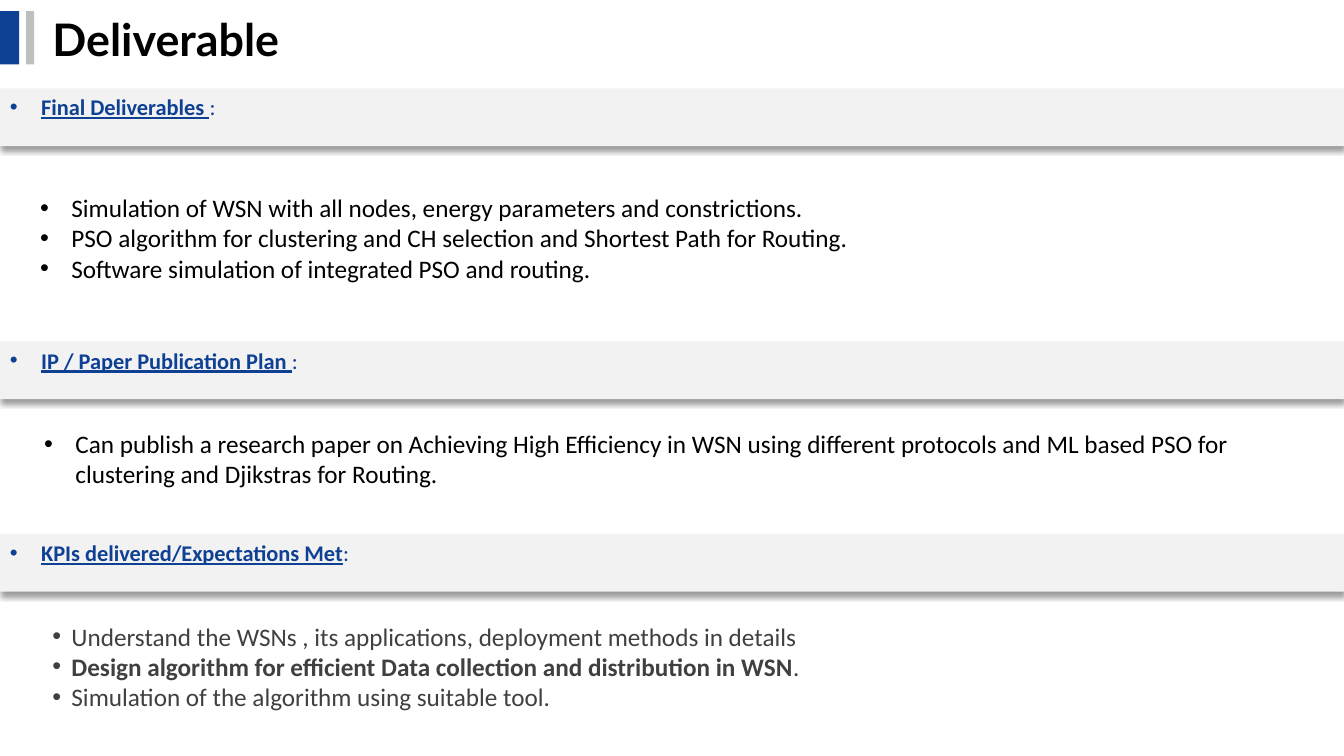
from lxml import etree
from pptx import Presentation
from pptx.dml.color import RGBColor
from pptx.enum.shapes import MSO_SHAPE
from pptx.enum.text import MSO_ANCHOR, PP_ALIGN
from pptx.oxml import parse_xml
from pptx.oxml.ns import qn
from pptx.util import Inches, Pt

RECTANGLE = MSO_SHAPE.RECTANGLE
TOP, MIDDLE = MSO_ANCHOR.TOP, MSO_ANCHOR.MIDDLE
LEFT = PP_ALIGN.LEFT
BLUE, GREY, PALE, DARK, BLACK = "0E4094", "BFBFBF", "F2F2F2", "404040", "000000"
SHADOW = (
    '<a:outerShdw xmlns:a="http://schemas.openxmlformats.org/drawingml/2006/main"'
    ' blurRad="50800" dist="38100" dir="5400000" algn="t" rotWithShape="0">'
    '<a:srgbClr val="000000"><a:alpha val="40000"/></a:srgbClr></a:outerShdw>'
)

deck = Presentation()
deck.slide_width, deck.slide_height = Inches(13.33), Inches(7.5)
page = deck.slides.add_slide(deck.slide_layouts[6])


def add_bar(left, top, width, height, color):
    bar = page.shapes.add_shape(
        RECTANGLE, Inches(left), Inches(top), Inches(width), Inches(height))
    bar.fill.solid()
    bar.fill.fore_color.rgb = RGBColor.from_string(color)
    bar.line.fill.background()
    bar.shadow.inherit = False
    return bar


def write(box, paragraphs, size=18, font="Calibri", color=BLACK, indent=0.31, anchor=TOP):
    """Each paragraph is a list of (text, bold, underline) runs."""
    frame = box.text_frame
    frame.word_wrap = True
    frame.vertical_anchor = anchor
    for index, runs in enumerate(paragraphs):
        para = frame.add_paragraph() if index else frame.paragraphs[0]
        para.alignment = LEFT
        if indent:
            properties = para._p.get_or_add_pPr()
            properties.set("marL", str(Inches(indent)))
            properties.set("indent", str(-Inches(indent)))
            bullet_font = etree.SubElement(properties, qn("a:buFont"))
            bullet_font.set("typeface", "Arial")
            etree.SubElement(properties, qn("a:buChar")).set("char", "•")
        for text, bold, underline in runs:
            span = para.add_run()
            span.text = text
            span.font.name, span.font.size = font, Pt(size)
            span.font.bold, span.font.underline = bold, underline
            span.font.color.rgb = RGBColor.from_string(color)


# Title with its two accent bars
add_bar(0, 0.11, 0.19, 0.53, BLUE)
add_bar(0.26, 0.11, 0.08, 0.53, GREY)
title = page.shapes.add_textbox(Inches(0.42), Inches(0.06), Inches(10.28), Inches(0.64))
write(title, [[("Deliverable", True, False)]], size=32, font="Lato", indent=0, anchor=MIDDLE)

# Section bands
headings = [
    (0.88, "Final Deliverables "),
    (3.39, "IP / Paper Publication Plan "),
    (5.3, "KPIs delivered/Expectations Met"),
]
for top, heading in headings:
    band = add_bar(0, top, 13.33, 0.57, PALE)
    band._element.spPr.find(qn("a:effectLst")).append(parse_xml(SHADOW))
    write(band, [[(heading, True, True), (":", False, False)]], size=16, color=BLUE)

# Bullet lists below the bands
lists = [
    (0.3, 1.86, 12.64, 1.01, BLACK, 0.31, [
        [("Simulation of WSN with all nodes, energy parameters and constrictions.", False, False)],
        [("PSO algorithm for clustering and CH selection and Shortest Path for Routing.",
          False, False)],
        [("Software simulation of integrated PSO and routing.", False, False)],
    ]),
    (0.34, 4.2, 12.64, 0.71, BLACK, 0.31, [
        [("Can publish a research paper on Achieving High Efficiency in WSN using different "
          "protocols and ML based PSO for clustering and Djikstras for Routing.", False, False)],
    ]),
    (0.42, 6.11, 10.99, 1.01, DARK, 0.19, [
        [("Understand the WSNs , its applications, deployment methods in details", False, False)],
        [("Design algorithm for efficient Data collection and distribution in WSN", True, False),
         (".", False, False)],
        [("Simulation of the algorithm using suitable tool.", False, False)],
    ]),
]
for left, top, width, height, color, indent, paragraphs in lists:
    box = page.shapes.add_textbox(Inches(left), Inches(top), Inches(width), Inches(height))
    write(box, paragraphs, color=color, indent=indent)

deck.save("out.pptx")
